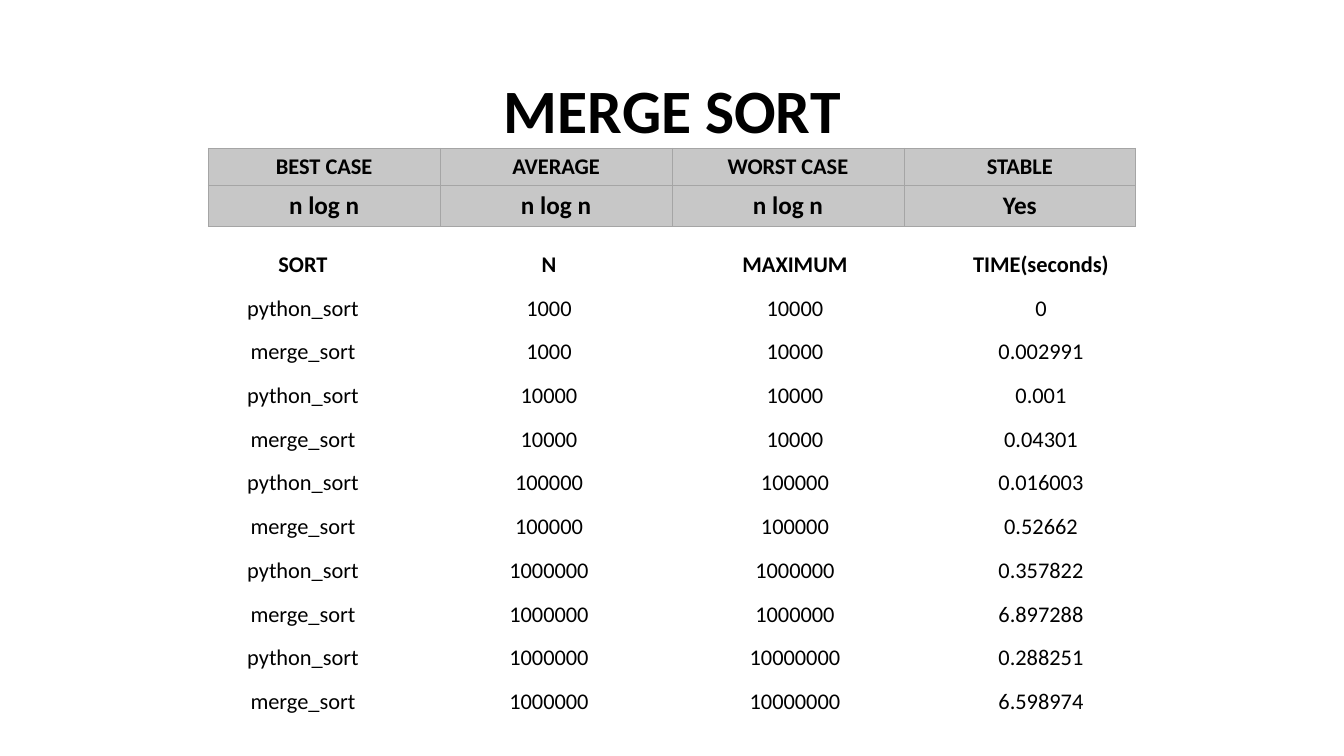
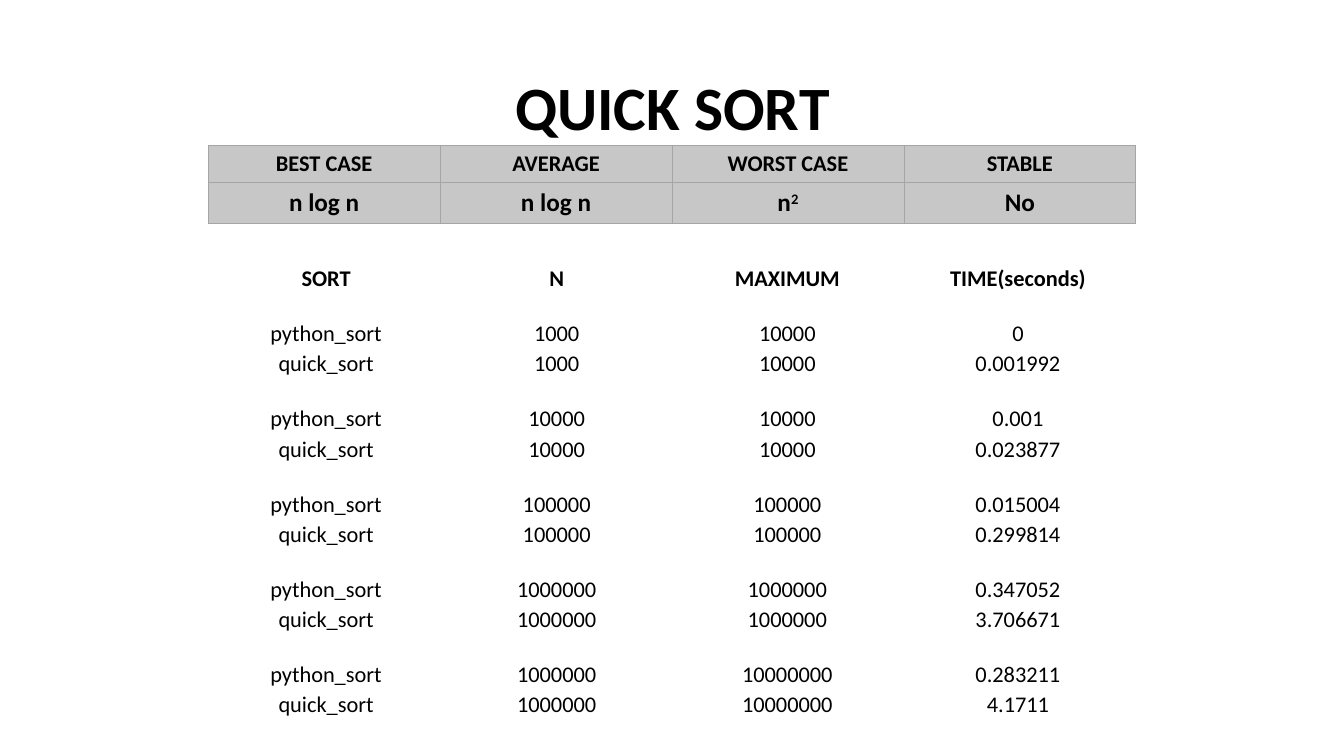
from lxml.etree import SubElement
from pptx import Presentation
from pptx.dml.color import RGBColor
from pptx.enum.text import MSO_ANCHOR as Anchor, PP_ALIGN as Align
from pptx.oxml import parse_xml
from pptx.oxml.ns import nsdecls, qn
from pptx.util import Inches, Pt

BLACK = RGBColor(0x00, 0x00, 0x00)
BAND = RGBColor(0xC7, 0xC7, 0xC7)
RULE = RGBColor(0xA5, 0xA5, 0xA5)
FONT = "Calibri"
PLAIN_STYLE = "{2D5ABB26-0587-4C30-8999-92F81FD0307C}"
WIDTH, HEIGHT = 13.33, 7.5

SUMMARY_HEADS = ["BEST CASE", "AVERAGE", "WORST CASE", "STABLE"]
SUMMARY_WIDTH, SUMMARY_ROWS = 9.2, [0.37, 0.41]
TIMING_HEADS = ["SORT", "N", "MAXIMUM", "TIME(seconds)"]
TIMING_HEIGHT = 4.77
RUNS = [(1000, 10000), (10000, 10000), (100000, 100000),
        (1000000, 1000000), (1000000, 10000000)]
SHORT_ROW = 0.3
TALL_ROW = (TIMING_HEIGHT - len(RUNS) * SHORT_ROW) / (len(RUNS) + 1)

SORTS = [
    dict(name="merge", title_top=0.4, timing_top=2.33, timing_width=9.76,
         summary=["n log n", "n log n", "n log n", "Yes"],
         rows=[TIMING_HEIGHT / (2 * len(RUNS) + 1)] * (2 * len(RUNS) + 1),
         times=[("0", "0.002991"), ("0.001", "0.04301"),
                ("0.016003", "0.52662"), ("0.357822", "6.897288"),
                ("0.288251", "6.598974")]),
    dict(name="quick", title_top=0.37, timing_top=2.36, timing_width=9.15,
         summary=["n log n", "n log n", "n^2", "No"],
         rows=[TALL_ROW] + [TALL_ROW, SHORT_ROW] * len(RUNS),
         times=[("0", "0.001992"), ("0.001", "0.023877"),
                ("0.015004", "0.299814"), ("0.347052", "3.706671"),
                ("0.283211", "4.1711")]),
]


def write(para, text, size, bold):
    """Write centred text; what follows a caret becomes superscript."""
    para.alignment = Align.CENTER
    for level, part in enumerate(text.split("^")):
        span = para.add_run()
        span.text = part
        font = span.font
        font.name, font.size, font.bold = FONT, Pt(size), bold
        font.color.rgb = BLACK
        if level:
            span._r.get_or_add_rPr().set("baseline", "30000")


def add_grid(page, top, width, heights, lines):
    """Add an unstyled, centred table with equal columns; return its cells by row."""
    columns = len(lines[0])
    table = page.shapes.add_table(
        len(lines), columns, Inches((WIDTH - width) / 2), Inches(top),
        Inches(width), Inches(sum(heights))).table
    table.first_row = table.horz_banding = False
    table._tbl.tblPr.find(qn("a:tableStyleId")).text = PLAIN_STYLE
    for column in table.columns:
        column.width = Inches(width / columns)
    for row, height in zip(table.rows, heights):
        row.height = Inches(height)
    return [list(row.cells) for row in table.rows]


deck = Presentation()
deck.slide_width, deck.slide_height = Inches(WIDTH), Inches(HEIGHT)

for sort in SORTS:
    page = deck.slides.add_slide(deck.slide_layouts[6])

    title = page.shapes.add_textbox(
        Inches(0.92), Inches(sort["title_top"]), Inches(11.5), Inches(1.45))
    frame = title.text_frame
    frame.word_wrap = True
    frame.vertical_anchor = Anchor.MIDDLE
    frame.paragraphs[0].line_spacing = 0.9
    write(frame.paragraphs[0], f"{sort['name'].upper()} SORT", 44, True)

    timings = [TIMING_HEADS]
    for (count, maximum), times in zip(RUNS, sort["times"]):
        for name, seconds in zip(["python", sort["name"]], times):
            timings.append([f"{name}_sort", str(count), str(maximum), seconds])
    timing_cells = add_grid(page, sort["timing_top"], sort["timing_width"],
                            sort["rows"], timings)
    for line, cells in zip(timings, timing_cells):
        for text, cell in zip(line, cells):
            cell.margin_left = cell.margin_right = cell.margin_top = Inches(0.01)
            cell.margin_bottom = 0
            cell.vertical_anchor = Anchor.BOTTOM
            cell.fill.background()
            write(cell.text_frame.paragraphs[0], text, 16, line is TIMING_HEADS)

    summary = [SUMMARY_HEADS, sort["summary"]]
    summary_cells = add_grid(page, sort["title_top"] + 1.07, SUMMARY_WIDTH,
                             SUMMARY_ROWS, summary)
    for line, cells, size in zip(summary, summary_cells, [16, 18]):
        for text, cell in zip(line, cells):
            cell.vertical_anchor = Anchor.MIDDLE
            cell.fill.solid()
            cell.fill.fore_color.rgb = BAND
            write(cell.text_frame.paragraphs[0], text, size, True)
            for place, side in enumerate("LRTB"):
                edge = parse_xml(f'<a:ln{side} {nsdecls("a")} w="{Pt(0.5)}"/>')
                paint = SubElement(edge, qn("a:solidFill"))
                SubElement(paint, qn("a:srgbClr"), val=str(RULE))
                cell._tc.get_or_add_tcPr().insert(place, edge)

deck.save("out.pptx")
